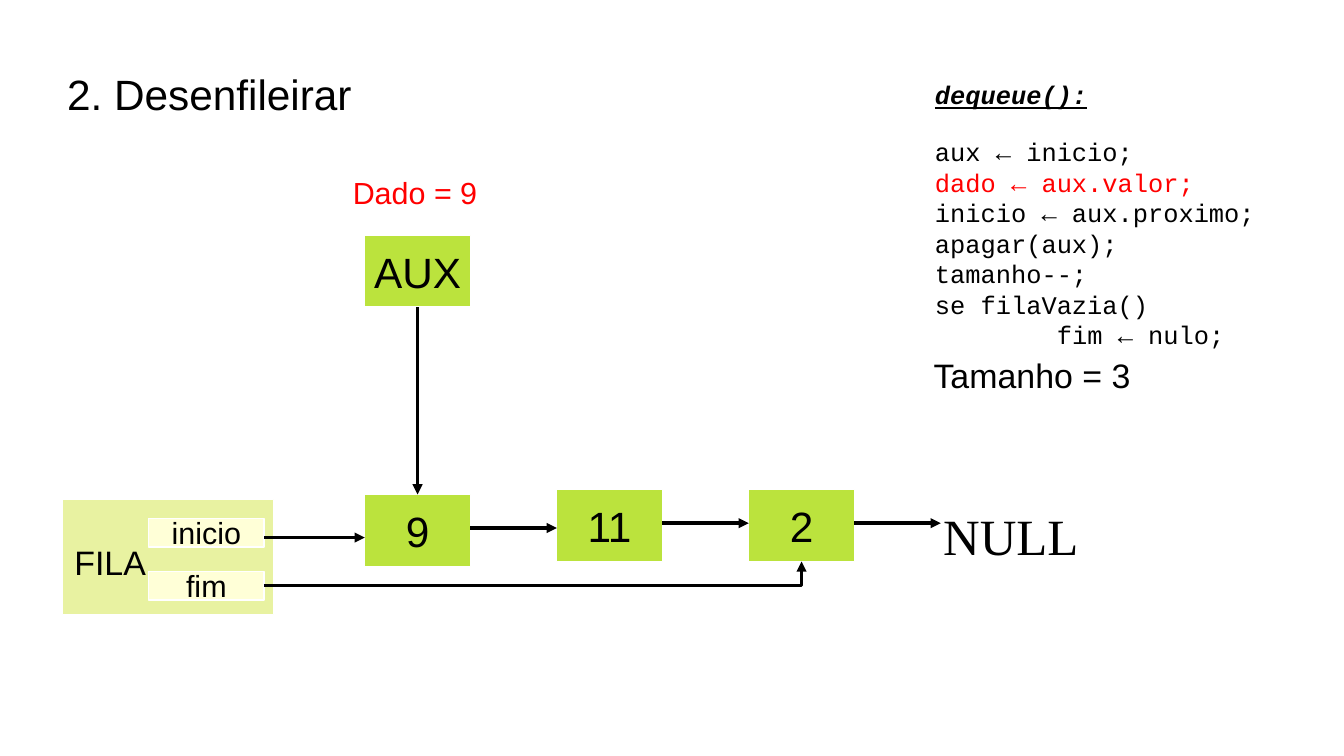
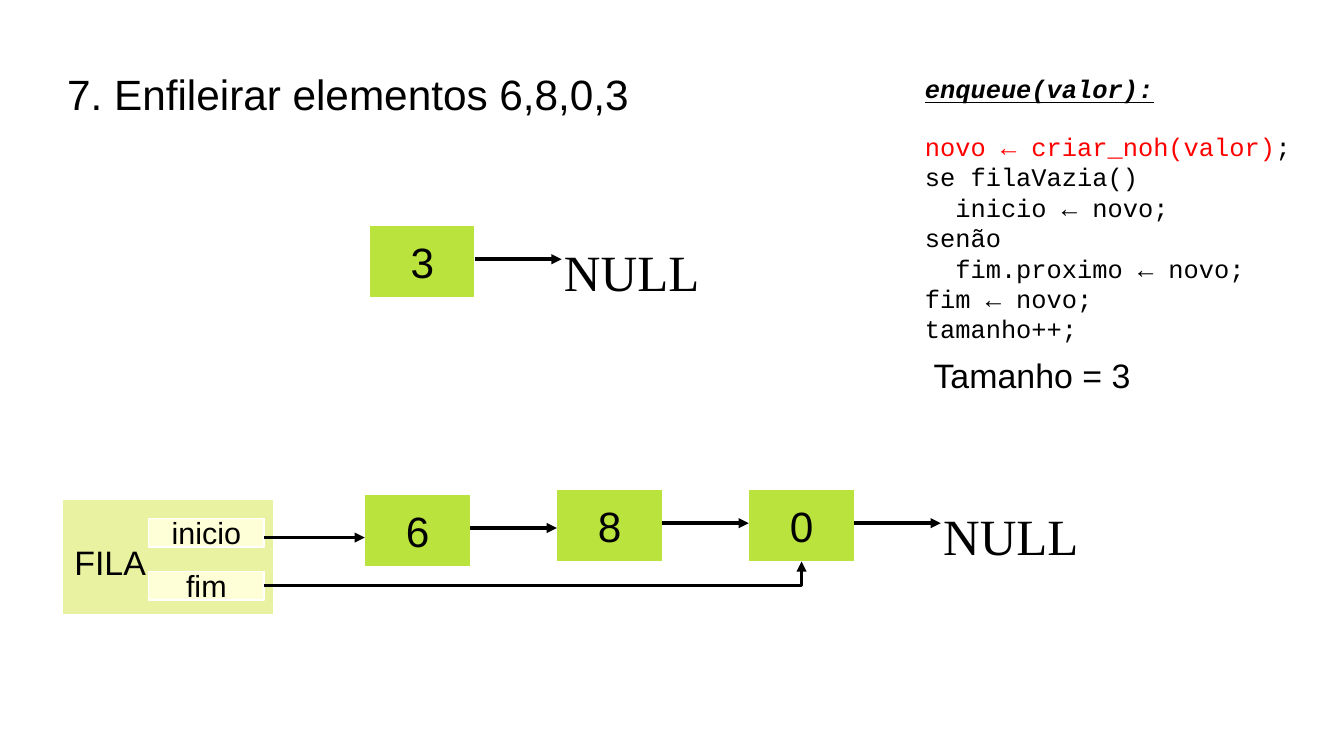
import pptx
import pptx.dml.color
import pptx.enum.shapes
import pptx.enum.text
import pptx.oxml
import pptx.oxml.ns
import pptx.util
from dataclasses import dataclass

Cm = pptx.util.Cm
Align = pptx.enum.text.PP_ALIGN
Anchor = pptx.enum.text.MSO_ANCHOR
Connector = pptx.enum.shapes.MSO_CONNECTOR


@dataclass(frozen=True)
class Theme:
    black: str = "000000"
    white: str = "FFFFFF"
    red: str = "FF0000"
    node: str = "BBE33D"
    queue: str = "E8F2A1"
    field: str = "FFFFD7"
    sans: str = "Arial"
    mono: str = "Courier New"
    serif: str = "Times New Roman"
    title_size: int = 25
    null_size: int = 30
    label_size: int = 20
    small_size: int = 18
    code_size: int = 15


THEME = Theme()

# Queue geometry, in centimetres
NODE_WIDTH, NODE_HEIGHT = 2.2, 1.5
FIRST_NODE_LEFT, NODE_PITCH = 7.6, 4
NODE_TOPS = (10.3, 10.2, 10.2)
ARROW_DROP = 0.7  # from the top of a node to its outgoing arrow
ARROW_LENGTH = NODE_PITCH - NODE_WIDTH
FIELD_RIGHT = 5.5

# Each code line is a list of (text, colour) runs
DEQUEUE = [
    [("aux ← inicio;", THEME.black)],
    [("dado ← aux.valor;", THEME.red)],
    [("inicio ← aux.proximo;", THEME.black)],
    [("apagar(aux);", THEME.black)],
    [("tamanho--;", THEME.black)],
    [("se filaVazia()", THEME.black)],
    [("\tfim ← nulo;", THEME.black)],
]
ENQUEUE = [
    [("novo ← criar_noh(valor)", THEME.red), (";", THEME.black)],
    [("se filaVazia()", THEME.black)],
    [("  inicio ← novo;", THEME.black)],
    [("senão", THEME.black)],
    [("  fim.proximo ← novo;", THEME.black)],
    [("fim ← novo;", THEME.black)],
    [("tamanho++;", THEME.black)],
]


def rgb(color):
    return pptx.dml.color.RGBColor.from_string(color)


def set_font(paragraph, size, name=THEME.sans, color=THEME.black):
    font = paragraph.font
    font.name, font.size = name, pptx.util.Pt(size)
    font.color.rgb = rgb(color)


# Kinds of element
def add_title(slide, text):
    title = slide.shapes.title
    title.left, title.top, title.width, title.height = map(Cm, (1.4, 0.63, 25.2, 2.64))
    frame = title.text_frame
    frame.text = text
    frame.margin_left = frame.margin_right = frame.margin_top = frame.margin_bottom = 0
    frame.vertical_anchor = Anchor.MIDDLE
    frame.auto_size = pptx.enum.text.MSO_AUTO_SIZE.NONE
    paragraph = frame.paragraphs[0]
    paragraph.alignment = Align.LEFT
    set_font(paragraph, THEME.title_size)


def add_box(slide, left, top, width, height, fill, text="", size=THEME.title_size):
    box = slide.shapes.add_shape(pptx.enum.shapes.MSO_SHAPE.RECTANGLE,
                                 Cm(left), Cm(top), Cm(width), Cm(height))
    box.shadow.inherit = False
    box.fill.solid()
    box.fill.fore_color.rgb = rgb(fill)
    box.line.color.rgb = rgb(THEME.white)
    box.line.width = 0
    if text:
        frame = box.text_frame
        frame.word_wrap = False
        frame.vertical_anchor = Anchor.MIDDLE
        frame.text = text
        paragraph = frame.paragraphs[0]
        paragraph.alignment = Align.CENTER
        set_font(paragraph, size)
    return box


def add_node(slide, left, top, text):
    return add_box(slide, left, top, NODE_WIDTH, NODE_HEIGHT, THEME.node, text)


def add_text_box(slide, left, top, width, height):
    box = slide.shapes.add_textbox(Cm(left), Cm(top), Cm(width), Cm(height))
    box.text_frame.word_wrap = True
    return box.text_frame


def add_label(slide, left, top, width, text, size=THEME.label_size,
              name=THEME.sans, color=THEME.black):
    frame = add_text_box(slide, left, top, width, 1.05)
    frame.text = text
    set_font(frame.paragraphs[0], size, name, color)


def add_arrow(slide, start, end, kind=Connector.STRAIGHT):
    arrow = slide.shapes.add_connector(kind, *map(Cm, start + end))
    arrow.line.color.rgb = rgb(THEME.black)
    arrow.line.width = 0
    line = arrow.line._get_or_add_ln()
    pptx.oxml.ns.qn("a:tailEnd")
    tail = line.makeelement(pptx.oxml.ns.qn("a:tailEnd"), {"type": "triangle"})
    line.append(tail)
    properties = arrow._element.spPr
    properties.append(properties.makeelement(pptx.oxml.ns.qn("a:effectLst"), {}))
    return arrow


def add_next_arrow(slide, node_left, node_top):
    start, y = node_left + NODE_WIDTH, node_top + ARROW_DROP
    add_arrow(slide, (start, y), (start + ARROW_LENGTH, y))


def add_null(slide, node_left, node_top):
    """The NULL that follows the last node, with the arrow to it."""
    add_label(slide, node_left + NODE_PITCH - 0.2, node_top + 0.2, 3.4, "NULL",
              THEME.null_size, THEME.serif)
    add_next_arrow(slide, node_left, node_top)


def add_tab_stop(paragraph):
    properties = paragraph._p.get_or_add_pPr()
    properties.append(pptx.oxml.parse_xml(
        f'<a:tabLst {pptx.oxml.ns.nsdecls("a")}>'
        f'<a:tab pos="{Cm(2.54)}" algn="l"/></a:tabLst>'))


def add_code(slide, left, top, width, heading, lines):
    frame = add_text_box(slide, left, top, width, 5.9)
    frame.text = heading
    paragraph = frame.paragraphs[0]
    paragraph.space_after = pptx.util.Pt(16)
    set_font(paragraph, THEME.code_size, THEME.mono)
    paragraph.font.bold = paragraph.font.italic = paragraph.font.underline = True
    for line in lines:
        paragraph = frame.add_paragraph()
        if line[0][0].startswith("\t"):
            add_tab_stop(paragraph)
        set_font(paragraph, THEME.code_size, THEME.mono)
        for text, color in line:
            run = paragraph.add_run()
            run.text = text
            run.font.color.rgb = rgb(color)


def add_queue(slide, values):
    # Queue record with its two pointers
    add_box(slide, 1.3, 10.4, 4.4, 2.4, THEME.queue)
    add_label(slide, 1.3, 11.15, 2.1, "FILA")
    fields = [add_box(slide, 3.1, top, FIELD_RIGHT - 3.1, 0.6, THEME.field,
                      text, THEME.small_size)
              for text, top in (("inicio", 10.8), ("fim", 11.9))]

    # Linked nodes
    lefts = [FIRST_NODE_LEFT + index * NODE_PITCH for index in range(len(values))]
    nodes = [add_node(slide, *place) for place in zip(lefts, NODE_TOPS, values)]
    for left, top in list(zip(lefts, NODE_TOPS))[:-1]:
        add_next_arrow(slide, left, top)
    add_null(slide, lefts[-1], NODE_TOPS[-1])

    # Pointers to the first and the last node
    add_arrow(slide, (FIELD_RIGHT, 11.2), (FIRST_NODE_LEFT, 11.2))
    elbow = add_arrow(slide, (FIELD_RIGHT, 12.2),
                      (lefts[-1] + NODE_WIDTH / 2, NODE_TOPS[-1] + NODE_HEIGHT),
                      Connector.ELBOW)
    elbow._element.spPr.prstGeom.set("prst", "bentConnector2")
    elbow.begin_connect(fields[1], 3)
    elbow.end_connect(nodes[-1], 2)


def add_queue_slide(presentation, title, values):
    slide = presentation.slides.add_slide(presentation.slide_layouts[5])
    add_title(slide, title)
    add_queue(slide, values)
    add_label(slide, 19.2, 7.26, 4.8, "Tamanho = 3")
    return slide


def main():
    presentation = pptx.Presentation()
    presentation.slide_width, presentation.slide_height = Cm(28), Cm(15.75)

    # Dequeue
    slide = add_queue_slide(presentation, "2. Desenfileirar", ("9", "11", "2"))
    add_code(slide, 19.23, 1.52, 8.7, "dequeue():", DEQUEUE)
    add_node(slide, FIRST_NODE_LEFT, 4.9, "AUX")
    center = FIRST_NODE_LEFT + NODE_WIDTH / 2
    add_arrow(slide, (center, 4.9 + NODE_HEIGHT), (center, NODE_TOPS[0]))
    add_label(slide, 7.1, 3.5, 3.35, "Dado = 9", THEME.small_size, color=THEME.red)

    # Enqueue
    slide = add_queue_slide(presentation, "7. Enfileirar elementos 6,8,0,3",
                            ("6", "8", "0"))
    add_code(slide, 19.02, 1.4, 8.3, "enqueue(valor):", ENQUEUE)
    add_node(slide, 7.7, 4.7, "3")
    add_null(slide, 7.7, 4.7)

    presentation.save("out.pptx")


if __name__ == "__main__":
    main()
